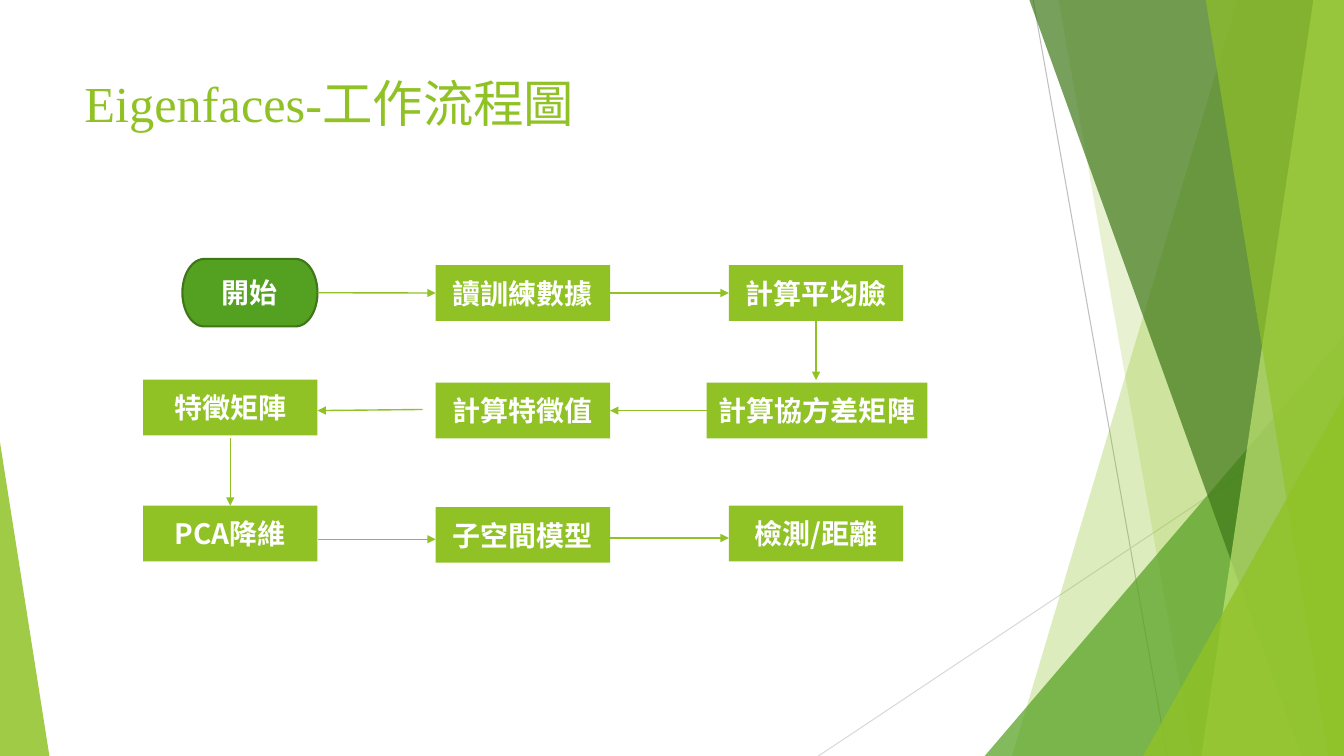
"""Build the Eigenfaces workflow slide."""
import pptx
import pptx.util
import pptx.dml.color
import pptx.enum.shapes
import pptx.enum.text
import pptx.oxml.ns
import pptx.oxml.xmlchemy

Pt = pptx.util.Pt
SHAPE = pptx.enum.shapes.MSO_SHAPE
STRAIGHT = pptx.enum.shapes.MSO_CONNECTOR.STRAIGHT
WIDTH, HEIGHT, OVERHANG = 960, 540, -0.6
GREEN, DEEP_GREEN = "90C226", "54A021"
CHINESE_FONT = "Noto Sans CJK SC"
TOP, LEFT, BOTTOM, RIGHT = range(4)
STEP_WIDTH, STEP_HEIGHT = 124.6, 39.8
COLUMNS = (102.2, 311.2, 520.6)


def color(value):
    """Turn a hex string into a colour."""
    return pptx.dml.color.RGBColor.from_string(value)


def add_element(parent, tag, **attributes):
    """Append an XML element with the given attributes."""
    element = pptx.oxml.xmlchemy.OxmlElement(tag)
    for name, value in attributes.items():
        element.set(name, value)
    parent.append(element)


def fill(shape, value, opacity=100):
    """Fill a shape without outline or shadow, at a percentage of opacity."""
    shape.shadow.inherit = False
    shape.fill.solid()
    shape.fill.fore_color.rgb = color(value)
    shape.line.fill.background()
    if opacity < 100:
        tint = shape._element.spPr.find(pptx.oxml.ns.qn("a:solidFill"))[0]
        add_element(tint, "a:alpha", val=str(opacity * 1000))


def add_band(page, top_x, bottom_x, value, opacity):
    """Add a slanted band that runs to the right edge of the page."""
    builder = page.shapes.build_freeform(Pt(top_x), Pt(OVERHANG))
    corners = ((WIDTH, OVERHANG), (WIDTH, HEIGHT), (bottom_x, HEIGHT))
    builder.add_line_segments([(Pt(x), Pt(y)) for x, y in corners])
    fill(builder.convert_to_shape(), value, opacity)


def add_wedge(page, left, top, width, apex, value, opacity):
    """Add a right triangle that stands on the bottom edge of the page."""
    wedge = page.shapes.add_shape(
        SHAPE.ISOSCELES_TRIANGLE, Pt(left), Pt(top), Pt(width), Pt(HEIGHT - top))
    wedge.adjustments[0] = apex
    fill(wedge, value, opacity)


def add_line(page, start, end, value, weight):
    """Add a straight line between two points."""
    line = page.shapes.add_connector(STRAIGHT, *map(Pt, start + end))
    line.line.color.rgb = color(value)
    line.line.width = Pt(weight)
    add_element(line._element.spPr, "a:effectLst")
    return line


def add_arrow(page, start, end, begin_box=None, end_box=None):
    """Add an arrow, joining each end to a (box, side) pair where given."""
    arrow = add_line(page, start, end, GREEN, 1)
    if begin_box:
        arrow.begin_connect(*begin_box)
    if end_box:
        arrow.end_connect(*end_box)
    outline = arrow._element.spPr.find(pptx.oxml.ns.qn("a:ln"))
    add_element(outline, "a:tailEnd", type="triangle")


def add_span(para, text, name):
    """Add a run in one font, with the Chinese font for East Asian text."""
    span = para.add_run()
    span.text = text
    span.font.name = name
    add_element(span._r.get_or_add_rPr(), "a:ea", typeface=CHINESE_FONT)


def add_title(page, latin, chinese):
    """Add the title in a Latin and a Chinese font."""
    box = page.shapes.add_textbox(Pt(53.3), Pt(48.2), Pt(676.8), Pt(103.7))
    box.text_frame.word_wrap = True
    para = box.text_frame.paragraphs[0]
    para.font.size = Pt(36)
    para.font.color.rgb = color(GREEN)
    add_span(para, latin, "Times New Roman")
    add_span(para, chinese, CHINESE_FONT)


def add_step(page, text, left, top, width=STEP_WIDTH, height=STEP_HEIGHT,
             kind=SHAPE.RECTANGLE, value=GREEN):
    """Add one labelled step of the workflow."""
    box = page.shapes.add_shape(kind, Pt(left), Pt(top), Pt(width), Pt(height))
    fill(box, value)
    frame = box.text_frame
    frame.word_wrap = True
    frame.vertical_anchor = pptx.enum.text.MSO_ANCHOR.MIDDLE
    para = frame.paragraphs[0]
    para.alignment = pptx.enum.text.PP_ALIGN.CENTER
    para.font.size = Pt(20)
    para.font.bold = True
    para.font.color.rgb = color("FFFFFF")
    add_span(para, text, CHINESE_FONT)
    return box


def add_backdrop(page):
    """Add the lines and translucent facets around the page."""
    add_line(page, (738, 0), (833.8, HEIGHT), "BFBFBF", 0.75)
    add_line(page, (WIDTH, 290), (584.6, HEIGHT), "D9D9D9", 0.75)
    add_band(page, 884.2, 722.9, GREEN, 30)
    add_band(page, 756, 851.8, GREEN, 20)
    add_wedge(page, 703.4, 239.8, 256.6, 1, DEEP_GREEN, 72)
    add_band(page, 735.1, 929.5, "3F7819", 70)
    add_band(page, 938.2, 858.2, "C0E474", 70)
    add_band(page, 861.1, 949, GREEN, 65)
    add_wedge(page, 816.5, 283, 143.5, 1, GREEN, 80)
    add_wedge(page, 0, 316, 35.3, 0, GREEN, 85)


def add_workflow(page):
    """Add the steps and the arrows between them."""
    first, second, third = COLUMNS
    start = add_step(page, "開始", 130.3, 185, 96.5, 48.2,
                     SHAPE.FLOWCHART_TERMINATOR, DEEP_GREEN)
    start.line.color.rgb = color("3E7618")
    start.line.width = Pt(1.5)
    training = add_step(page, "讀訓練數據", second, 189.4)
    mean_face = add_step(page, "計算平均臉", third, 189.4)
    covariance = add_step(page, "計算協方差矩陣", 504.7, 273.4, 157.7)
    eigenvalues = add_step(page, "計算特徵值", second, 273.4)
    add_step(page, "特徵矩陣", first, 271.2)
    reduction = add_step(page, "PCA降維", first, 361.2)
    add_step(page, "子空間模型", second, 362.2)
    add_step(page, "檢測/距離", third, 361.2)

    first_end, second_end = first + STEP_WIDTH, second + STEP_WIDTH
    add_arrow(page, (first_end, 209.3), (second, 209.3),
              (start, RIGHT), (training, LEFT))
    add_arrow(page, (second_end, 209.3), (third, 209.3),
              (training, RIGHT), (mean_face, LEFT))
    add_arrow(page, (582.9, 229.2), (582.9, 271.4), (mean_face, BOTTOM))
    add_arrow(page, (504.7, 293.3), (second_end, 292.5),
              (covariance, LEFT), (eigenvalues, RIGHT))
    add_arrow(page, (301.9, 292.5), (first_end, 293.3))
    add_arrow(page, (164.5, 313), (164.5, 361.2), end_box=(reduction, TOP))
    add_arrow(page, (first_end, 385.2), (second, 385.2))
    add_arrow(page, (second_end, 384.3), (third, 384.3))


def main():
    """Build and save the deck."""
    deck = pptx.Presentation()
    deck.slide_width, deck.slide_height = Pt(WIDTH), Pt(HEIGHT)
    page = deck.slides.add_slide(deck.slide_layouts[6])
    add_backdrop(page)
    add_title(page, "Eigenfaces-", "工作流程圖")
    add_workflow(page)
    deck.save("out.pptx")


if __name__ == "__main__":
    main()
